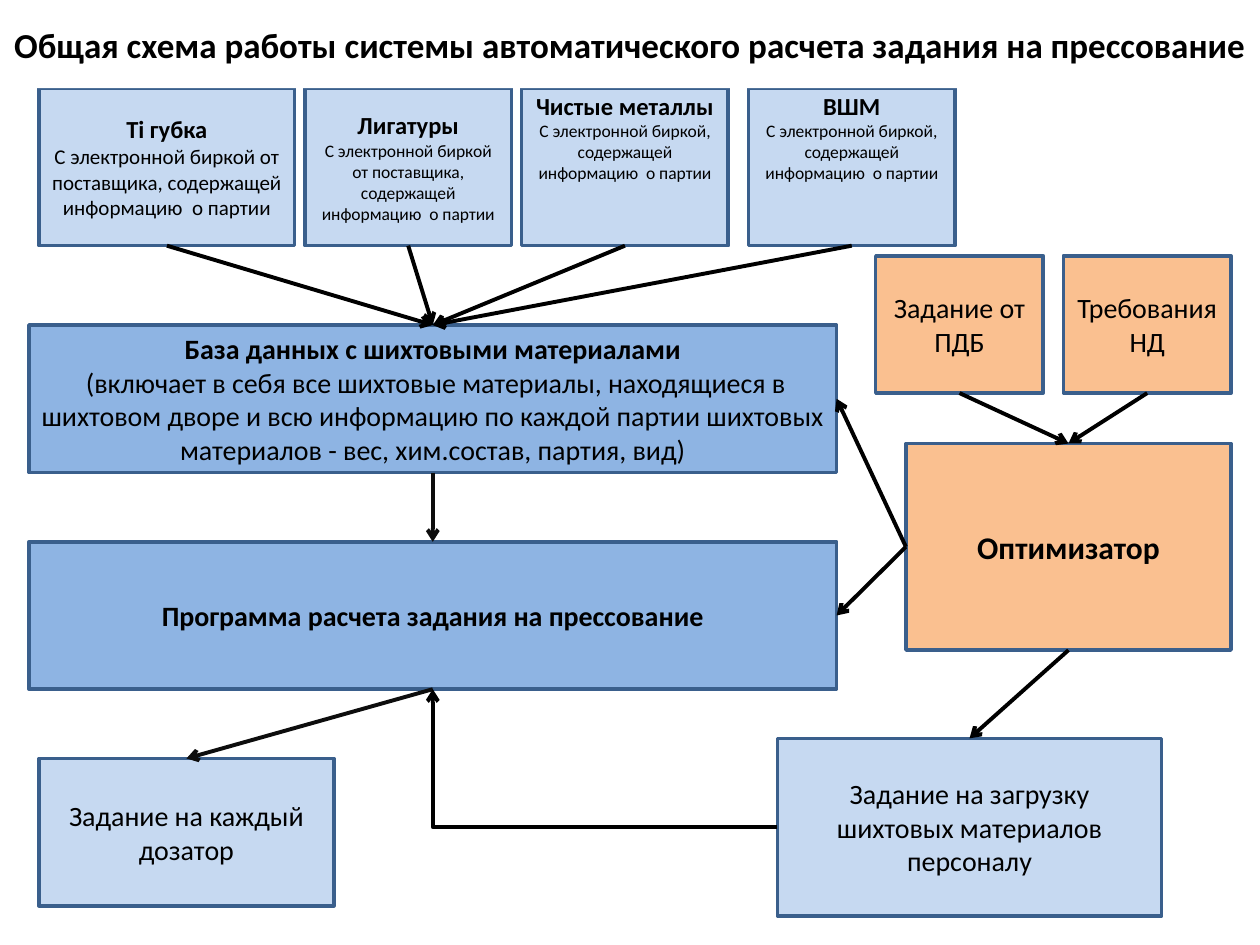
from pptx import Presentation
from pptx.dml.color import RGBColor
from pptx.enum.shapes import MSO_CONNECTOR, MSO_SHAPE
from pptx.enum.text import MSO_ANCHOR, PP_ALIGN
from pptx.oxml.ns import qn
from pptx.util import Inches, Pt
from lxml import etree

BLACK = RGBColor(0x00, 0x00, 0x00)
NEAR_BLACK = RGBColor(0x0D, 0x0D, 0x0D)
WHITE = RGBColor(0xFF, 0xFF, 0xFF)
PALE_BLUE = RGBColor(0xC6, 0xD9, 0xF1)
BLUE = RGBColor(0x8E, 0xB4, 0xE3)
ORANGE = RGBColor(0xFA, 0xC0, 0x90)
OUTLINE = RGBColor(0x3A, 0x5F, 0x8C)
TOP, LEFT, BOTTOM, RIGHT = range(4)

deck = Presentation()
deck.slide_width = Inches(10)
deck.slide_height = Inches(7.5)
page = deck.slides.add_slide(deck.slide_layouts[6])


def add_box(left, top, width, height, fill, lines):
    box = page.shapes.add_shape(
        MSO_SHAPE.RECTANGLE, Inches(left), Inches(top), Inches(width), Inches(height))
    box.shadow.inherit = False
    box.fill.solid()
    box.fill.fore_color.rgb = fill
    box.line.color.rgb = OUTLINE
    box.line.width = Pt(2)
    frame = box.text_frame
    frame.word_wrap = True
    frame.vertical_anchor = MSO_ANCHOR.MIDDLE
    for index, (text, size, bold) in enumerate(lines):
        para = frame.add_paragraph() if index else frame.paragraphs[0]
        para.text = text
        para.alignment = PP_ALIGN.CENTER
        para.font.name = "Calibri"
        para.font.size = Pt(size)
        para.font.bold = bold
        para.font.color.rgb = BLACK
    return box


def add_arrow(start, start_site, end, end_site, color=BLACK, kind=MSO_CONNECTOR.STRAIGHT):
    arrow = page.shapes.add_connector(kind, Inches(0), Inches(0), Inches(0), Inches(0))
    arrow.begin_connect(start, start_site)
    arrow.end_connect(end, end_site)
    arrow.line.color.rgb = color
    arrow.line.width = Pt(2.25)
    etree.SubElement(arrow.line._get_or_add_ln(), qn("a:tailEnd"), type="arrow")
    etree.SubElement(arrow._element.spPr, qn("a:effectLst"))
    return arrow


supplier_tag = "С электронной биркой от поставщика, содержащей информацию  о партии"
plain_tag = "С электронной биркой, содержащей информацию  о партии"
materials = []
for left, width, name, tag, size in [
    (0.31, 2.03, "Тi губка", supplier_tag, 12),
    (2.42, 1.64, "Лигатуры", supplier_tag, 10),
    (4.14, 1.64, "Чистые металлы", plain_tag, 10),
    (5.94, 1.64, "ВШМ", plain_tag, 10),
]:
    material = add_box(left, 0.7, width, 1.25, PALE_BLUE,
                       [(name, 14, True), (tag, size, False)])
    if tag == plain_tag:
        material.text_frame.vertical_anchor = MSO_ANCHOR.TOP
        material.text_frame.margin_top = Inches(0.02)
    materials.append(material)

database = add_box(0.23, 2.58, 6.41, 1.17, BLUE, [
    ("База данных с шихтовыми материалами", 16, True),
    (" (включает в себя все шихтовые материалы, находящиеся в шихтовом дворе и всю "
     "информацию по каждой партии шихтовых материалов - вес, хим.состав, партия, вид)",
     16, False),
])
program = add_box(0.23, 4.3, 6.41, 1.17, BLUE,
                  [("Программа расчета задания на прессование", 16, True)])
dosing_task = add_box(0.31, 6.02, 2.34, 1.17, PALE_BLUE,
                      [("Задание на каждый дозатор", 16, False)])
loading_task = add_box(6.17, 5.86, 3.05, 1.41, PALE_BLUE,
                       [("Задание на загрузку шихтовых материалов персоналу", 16, False)])
optimizer = add_box(7.19, 3.52, 2.58, 1.64, ORANGE, [("Оптимизатор", 18, True)])
inputs = [
    add_box(left, 2.03, 1.33, 1.09, ORANGE, [(text, 16, False)])
    for left, text in [(6.95, "Задание от ПДБ"), (8.44, "Требования НД")]
]

for material in materials:
    add_arrow(material, BOTTOM, database, TOP)
for source in inputs:
    add_arrow(source, BOTTOM, optimizer, TOP)
for target in (database, program):
    add_arrow(optimizer, LEFT, target, RIGHT)
add_arrow(database, BOTTOM, program, TOP, NEAR_BLACK)
add_arrow(program, BOTTOM, dosing_task, TOP, NEAR_BLACK)
add_arrow(optimizer, BOTTOM, loading_task, TOP)
feedback = add_arrow(loading_task, LEFT, program, BOTTOM, kind=MSO_CONNECTOR.ELBOW)
feedback._element.spPr.find(qn("a:prstGeom")).set("prst", "bentConnector2")

title = add_box(0, 0, 10, 0.7, WHITE, [
    ("Общая схема работы системы автоматического расчета задания на прессование", 20, True)])
title.line.fill.background()

deck.save("out.pptx")
